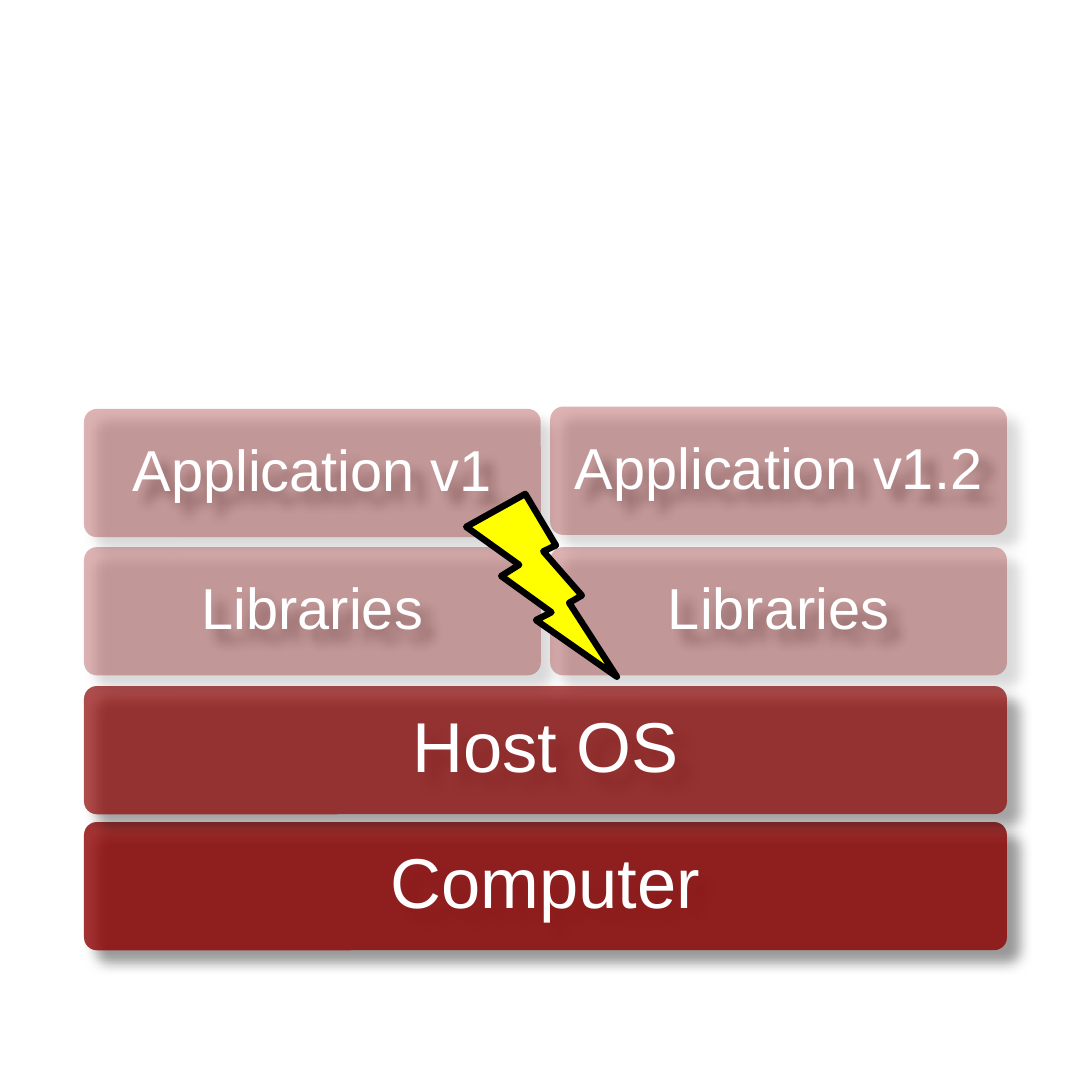
from dataclasses import dataclass

from lxml import etree
from pptx import Presentation
from pptx import util as u
from pptx.dml.color import RGBColor
from pptx.enum import shapes, text
from pptx.oxml import ns


@dataclass(frozen=True)
class Theme:
    layer: RGBColor = RGBColor(0x8D, 0x01, 0x01)
    label: RGBColor = RGBColor(0xFF, 0xFF, 0xFF)
    bolt: RGBColor = RGBColor(0xFF, 0xFF, 0x00)
    outline: RGBColor = RGBColor(0x00, 0x00, 0x00)
    font: str = "Arial"
    base_size: int = 22
    stack_size: int = 18


THEME = Theme()
SLIDE_SIDE = 340.5
LEFT = 26.2
FULL_WIDTH = 287.8
GAP = 2.9
HALF_WIDTH = (FULL_WIDTH - GAP) / 2
LAYER_HEIGHT = 40


def add_child(parent, tag, **attributes):
    return etree.SubElement(parent, ns.qn(tag), attributes)


def set_opacity(shape, percent):
    color = shape.fill._xPr.find(".//" + ns.qn("a:srgbClr"))
    add_child(color, "a:alpha", val=str(percent * 1000))


def add_soft_shadow(shape):
    effects = shape._element.spPr.find(ns.qn("a:effectLst"))
    shadow = add_child(effects, "a:outerShdw", blurRad=str(u.Pt(4)), dist=str(u.Pt(5)),
                       dir=str(45 * 60000), algn="tl", rotWithShape="0")
    color = add_child(shadow, "a:srgbClr", val=str(THEME.outline))
    add_child(color, "a:alpha", val="50000")


def add_label(shape, words, size, inset):
    frame = shape.text_frame
    frame.word_wrap = True
    frame.vertical_anchor = text.MSO_ANCHOR.MIDDLE
    frame.margin_left = frame.margin_right = u.Pt(inset)
    frame.margin_top = frame.margin_bottom = u.Pt(inset)
    paragraph = frame.paragraphs[0]
    paragraph.alignment = text.PP_ALIGN.CENTER
    paragraph.line_spacing = 0.9
    run = paragraph.add_run()
    run.text = words
    run.font.name = THEME.font
    run.font.size = u.Pt(size)
    run.font.color.rgb = THEME.label


def add_layer(slide, words, left, top, width, opacity, size, inset):
    shape = slide.shapes.add_shape(shapes.MSO_SHAPE.ROUNDED_RECTANGLE, u.Pt(left), u.Pt(top),
                                   u.Pt(width), u.Pt(LAYER_HEIGHT))
    shape.adjustments[0] = 0.1
    shape.fill.solid()
    shape.fill.fore_color.rgb = THEME.layer
    set_opacity(shape, opacity)
    shape.line.fill.background()
    shape.shadow.inherit = False
    add_soft_shadow(shape)
    add_label(shape, words, size, inset)


def add_bolt(slide, left, top, width, height):
    bolt = slide.shapes.add_shape(shapes.MSO_SHAPE.LIGHTNING_BOLT, u.Pt(left), u.Pt(top),
                                  u.Pt(width), u.Pt(height))
    bolt.fill.solid()
    bolt.fill.fore_color.rgb = THEME.bolt
    bolt.line.color.rgb = THEME.outline
    bolt.line.width = u.Pt(2)
    bolt.shadow.inherit = False


def main():
    presentation = Presentation()
    presentation.slide_width = presentation.slide_height = u.Pt(SLIDE_SIDE)
    slide = presentation.slides.add_slide(presentation.slide_layouts[6])

    for words, top, opacity in (("Computer", 256.3, 80), ("Host OS", 213.9, 70)):
        add_layer(slide, words, LEFT, top, FULL_WIDTH, opacity, THEME.base_size, 8)

    stacks = (
        (("Libraries", 170.6), ("Application v1", 127.5)),
        (("Libraries", 170.6), ("Application v1.2", 126.8)),
    )
    for column, stack in enumerate(stacks):
        left = LEFT + column * (HALF_WIDTH + GAP)
        for words, top in stack:
            add_layer(slide, words, left, top, HALF_WIDTH, 30, THEME.stack_size, 6.5)

    add_bolt(slide, 145.4, 154, 47, 57)
    presentation.save("out.pptx")


main()
